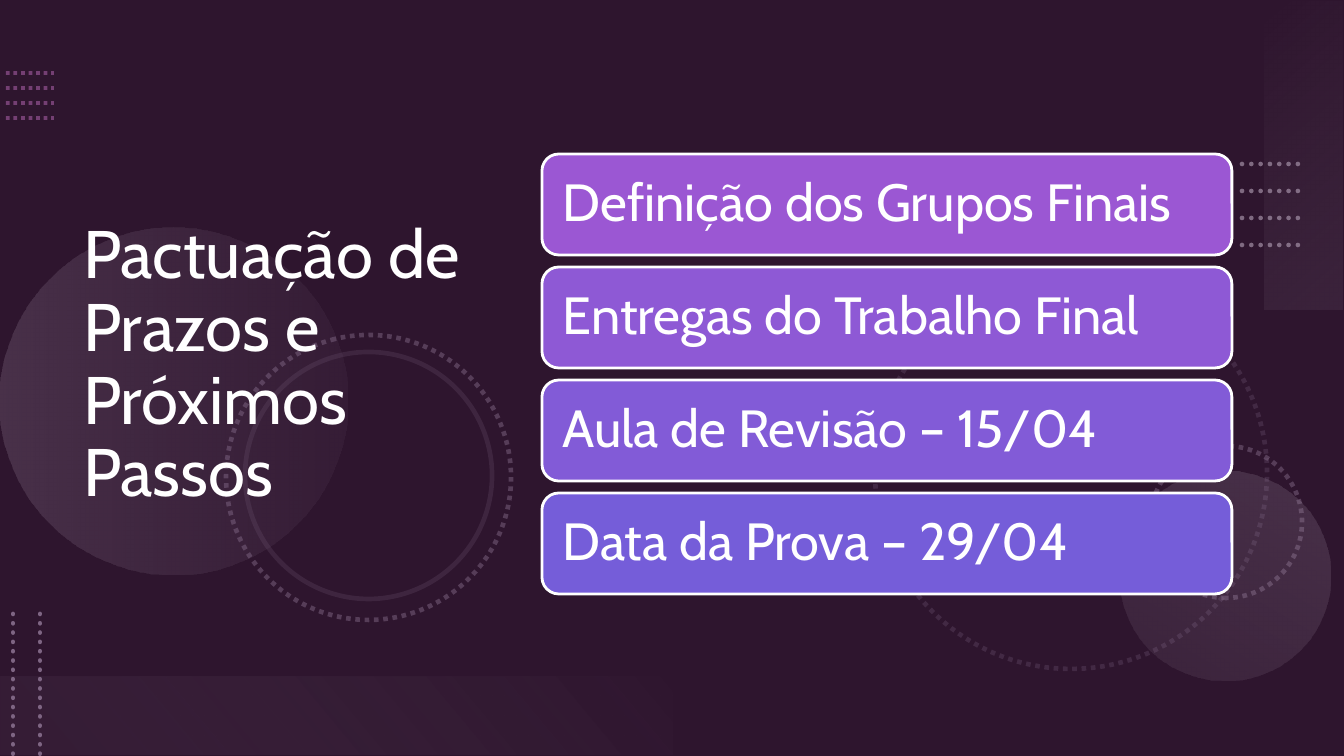
from dataclasses import dataclass

from pptx import Presentation
from pptx.dml.color import RGBColor
from pptx.enum.dml import MSO_LINE
from pptx.enum.shapes import MSO_CONNECTOR, MSO_SHAPE
from pptx.enum.text import MSO_ANCHOR, PP_ALIGN
from pptx.oxml.ns import qn
from pptx.oxml.xmlchemy import OxmlElement
from pptx.util import Pt

EMU_PER_PX = 914400 / 134.4


@dataclass(frozen=True)
class Theme:
    """Colours and type sizes of the slide."""
    font: str = "Cabin"
    title_size: int = 36
    card_size: int = 28
    background: str = "632E62"
    shade: str = "000000"
    white: str = "FFFFFF"
    orchid: str = "BA69B8"
    mauve: str = "7E6583"
    lilac: str = "B5A3B9"
    mist: str = "F7F5F7"
    pale: str = "F2EFF3"
    cards: tuple = ("9B57D3", "8E59D5", "825BD7", "755DD9")


def px(*lengths):
    """Turn pixel lengths into EMU."""
    return [round(length * EMU_PER_PX) for length in lengths]


def set_opacity(element, *percents):
    """Give each colour inside an element its opacity."""
    for color, percent in zip(element.iter(qn("a:srgbClr")), percents):
        alpha = OxmlElement("a:alpha")
        alpha.set("val", str(percent * 1000))
        color.append(alpha)


def write_text(shape, text, *, size, color, font, margins):
    """Write one left-aligned, vertically centred paragraph."""
    frame = shape.text_frame
    frame.word_wrap = True
    frame.vertical_anchor = MSO_ANCHOR.MIDDLE
    frame.margin_left = frame.margin_right = px(margins[0])[0]
    frame.margin_top = frame.margin_bottom = px(margins[1])[0]
    paragraph = frame.paragraphs[0]
    paragraph.text = text
    paragraph.alignment = PP_ALIGN.LEFT
    paragraph.line_spacing = 0.9
    paragraph.font.size = Pt(size)
    paragraph.font.name = font
    paragraph.font.color.rgb = RGBColor.from_string(color)


class SlideBuilder:
    """Hold the theme and the slide, and draw each kind of element."""

    def __init__(self, slide, theme):
        """Start on a slide with the theme background."""
        self.slide = slide
        self.theme = theme
        slide.background.fill.solid()
        slide.background.fill.fore_color.rgb = RGBColor.from_string(theme.background)

    def shape(self, kind, box, rotation=0):
        """Add a preset shape without shadow."""
        shape = self.slide.shapes.add_shape(kind, *px(*box))
        shape.shadow.inherit = False
        shape.rotation = rotation
        return shape

    def stroke(self, shape, color, width, dotted=False, opacity=100):
        """Style the line of a shape or connector."""
        line = shape.line
        line.color.rgb = RGBColor.from_string(color)
        line.width = Pt(width)
        if dotted:
            line.dash_style = MSO_LINE.ROUND_DOT
        outline = shape._element.spPr.find(qn("a:ln"))
        if opacity < 100:
            set_opacity(outline, opacity)
        return outline

    def solid(self, kind, box, color, opacity=100):
        """Add a shape with a plain fill and no line."""
        shape = self.shape(kind, box)
        shape.fill.solid()
        shape.fill.fore_color.rgb = RGBColor.from_string(color)
        shape.line.fill.background()
        if opacity < 100:
            set_opacity(shape._element.spPr.find(qn("a:solidFill")), opacity)
        return shape

    def glow(self, kind, box, rotation, angle, start, end, start_position=0):
        """Add a shape with a translucent two-colour gradient."""
        shape = self.shape(kind, box, rotation)
        shape.fill.gradient()
        shape.fill.gradient_angle = 360 - angle
        stops = shape.fill.gradient_stops
        for stop, (color, _), position in zip(stops, (start, end), (start_position, 1)):
            stop.color.rgb = RGBColor.from_string(color)
            stop.position = position
        set_opacity(shape._element.spPr.find(qn("a:gradFill")), start[1], end[1])
        shape.line.fill.background()

    def ring(self, left, top, diameter, rotation, opacity, dotted=True):
        """Add an unfilled circle."""
        ring = self.shape(MSO_SHAPE.OVAL, (left, top, diameter, diameter), rotation)
        ring.fill.background()
        self.stroke(ring, self.theme.mauve, 2.5, dotted, opacity)

    def dotted_line(self, start, end, color, width, opacity=100, rounded=False):
        """Add a straight dotted line."""
        line = self.slide.shapes.add_connector(MSO_CONNECTOR.STRAIGHT, *px(*start, *end))
        outline = self.stroke(line, color, width, True, opacity)
        if rounded:
            outline.set("cap", "rnd")
        line._element.spPr.append(OxmlElement("a:effectLst"))

    def title(self, text, box):
        """Add the slide title."""
        theme = self.theme
        write_text(self.slide.shapes.add_textbox(*px(*box)), text, size=theme.title_size,
                   color=theme.white, font=theme.font, margins=(13, 7))

    def card(self, text, box, color):
        """Add a rounded card with its label."""
        theme = self.theme
        card = self.solid(MSO_SHAPE.ROUNDED_RECTANGLE, box, color)
        self.stroke(card, theme.white, 1.5)
        write_text(card, text, size=theme.card_size, color=theme.white,
                   font=theme.font, margins=(16, 16))


def main():
    """Build and save the slide."""
    presentation = Presentation()
    presentation.slide_width, presentation.slide_height = px(1344, 756)
    theme = Theme()
    builder = SlideBuilder(presentation.slides.add_slide(presentation.slide_layouts[6]), theme)
    oval, rectangle = MSO_SHAPE.OVAL, MSO_SHAPE.RECTANGLE

    builder.solid(rectangle, (0, 0, 1344, 756), theme.shade, 53)
    for row in range(4):
        y = 73 + 15 * row
        builder.dotted_line((6, y), (54, y), theme.orchid, 2, 50)

    builder.ring(875, 277, 392, 75, 25)
    builder.ring(1150, 446, 152, 270, 50)
    builder.glow(oval, (0, 228, 347, 347), 270, 90, (theme.lilac, 20), (theme.mauve, 10))
    builder.glow(oval, (1120, 471, 210, 210), 210, 90, (theme.lilac, 10), (theme.lilac, 20))
    builder.ring(226, 335, 285, 75, 50)
    builder.ring(245, 352, 247, 75, 20, dotted=False)

    builder.glow(rectangle, (1150, 116, 308, 78), 270, 140, (theme.mist, 0), (theme.lilac, 10))
    for row in range(4):
        y = 164 + 27 * row
        builder.dotted_line((1242, y), (1302, y), theme.lilac, 2.5, 60, rounded=True)
    builder.glow(rectangle, (0, 677, 672, 78), 180, 140, (theme.mauve, 10), (theme.pale, 0), 0.1)
    for x in (40, 13):
        builder.dotted_line((x, 614), (x, 756), theme.mauve, 2.5, rounded=True)

    builder.title("Pactuação de Prazos e Próximos Passos", (70, 55, 462, 622))
    labels = ("Definição dos Grupos Finais", "Entregas do Trabalho Final",
              "Aula de Revisão – 15/04", "Data da Prova – 29/04")
    for row, (label, color) in enumerate(zip(labels, theme.cards)):
        builder.card(label, (542, 154 + 113 * row, 690, 101), color)

    presentation.save("out.pptx")


if __name__ == "__main__":
    main()
